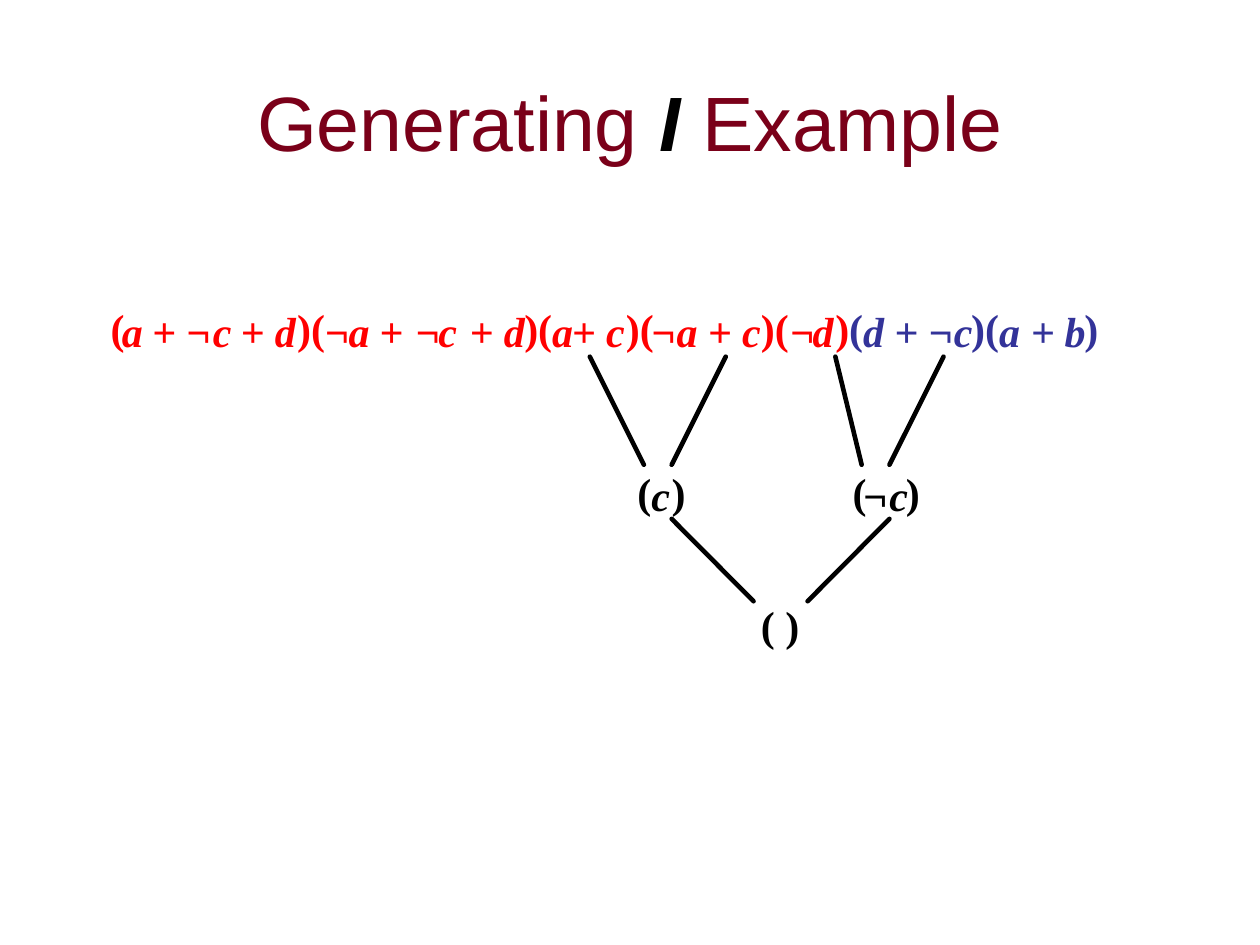
from lxml.etree import SubElement
from pptx import Presentation
from pptx.dml.color import RGBColor
from pptx.enum.shapes import MSO_CONNECTOR
from pptx.enum.text import MSO_ANCHOR, MSO_AUTO_SIZE, PP_ALIGN
from pptx.oxml.ns import qn
from pptx.util import Cm, Pt

MAROON, RED, BLUE, BLACK = "7A0019", "FF0000", "333399", "000000"

# Widths in cm that hold the bold formula characters at 24 pt
CHARACTER_WIDTHS = {"(": 0.3, ")": 0.3, "a": 0.43, "b": 0.43, "c": 0.39,
                    "d": 0.43, "+": 0.49, "¬": 0.52, " ": 0.22}
ITALIC_DROP = 0.06

# Each row: top, colour, and its symbols with their left edges
FORMULA_ROWS = [
    (6.1, RED, [
        ("(", 2.23), ("a", 2.46), ("+", 3.07), ("¬", 3.76), ("c", 4.29),
        ("+", 4.85), ("d", 5.54),
        (")(", 5.99), ("¬", 6.55), ("a", 7.03), ("+", 7.65), ("¬", 8.38),
        ("c", 8.84), ("+", 9.47), ("d", 10.16),
        (")(", 10.57), ("a", 11.13), ("+", 11.53), ("c", 12.22),
        (")(", 12.62), ("¬", 13.13), ("a", 13.64), ("+", 14.27), ("c", 14.96),
        (")(", 15.34), ("¬", 15.93), ("d", 16.38), (")", 16.84)]),
    (6.1, BLUE, [
        ("(", 17.12), ("d", 17.4), ("+", 18.03), ("¬c", 18.72),
        (")(", 19.58), ("a", 20.14), ("+", 20.78), ("b", 21.46), (")", 21.86)]),
    (9.4, BLACK, [
        ("(", 12.85), ("c", 13.13), (")", 13.54),
        ("(", 17.19), ("¬", 17.4), ("c", 17.93), (")", 18.26)]),
    (12.09, BLACK, [("( )", 15.34)]),
]

# Each level of resolution: top, bottom, and pairs of x positions
RESOLUTION_LEVELS = [
    (7.19, 9.37, [(11.89, 12.98), (14.63, 13.54), (16.84, 17.37), (19.02, 17.93)]),
    (10.46, 12.12, [(13.54, 15.19), (17.93, 16.28)]),
]


def colour(hex_string):
    return RGBColor.from_string(hex_string)


class SlideBuilder:
    title_font, title_size = "Arial", Pt(44)
    formula_font, formula_size = "Times New Roman", Pt(24)
    line_width = Pt(2.64)

    def __init__(self, slide):
        self.slide = slide

    def title(self, before, symbol, after):
        """Add the centred title with its symbol in black bold italics."""
        shape = self.slide.shapes.add_textbox(Cm(1.9), Cm(0.84), Cm(21.59), Cm(3.18))
        frame = shape.text_frame
        frame.word_wrap = True
        frame.vertical_anchor = MSO_ANCHOR.MIDDLE
        paragraph = frame.paragraphs[0]
        paragraph.alignment = PP_ALIGN.CENTER
        paragraph.font.name = self.title_font
        paragraph.font.size = self.title_size
        for text, is_symbol in ((before, False), (symbol, True), (after, False)):
            run = paragraph.add_run()
            run.text = text
            run.font.bold = run.font.italic = is_symbol
            run.font.color.rgb = colour(BLACK if is_symbol else MAROON)

    def symbol(self, text, left, row_top, hex_string):
        """Add one formula symbol: brackets upright, all else italic."""
        italic = text[0] not in "()"
        top = row_top + ITALIC_DROP * italic
        width = sum(CHARACTER_WIDTHS[character] for character in text)
        shape = self.slide.shapes.add_textbox(Cm(left), Cm(top), Cm(width), Cm(1.02))
        frame = shape.text_frame
        frame.margin_left = frame.margin_right = 0
        frame.margin_top = frame.margin_bottom = 0
        frame.word_wrap = False
        frame.auto_size = MSO_AUTO_SIZE.SHAPE_TO_FIT_TEXT
        paragraph = frame.paragraphs[0]
        paragraph.text = text
        font = paragraph.font
        font.name, font.size = self.formula_font, self.formula_size
        font.bold, font.italic = True, italic
        font.color.rgb = colour(hex_string)

    def line(self, start_x, start_y, end_x, end_y):
        connector = self.slide.shapes.add_connector(
            MSO_CONNECTOR.STRAIGHT, Cm(start_x), Cm(start_y), Cm(end_x), Cm(end_y))
        connector.line.color.rgb = colour(BLACK)
        connector.line.width = self.line_width
        properties = connector._element.spPr
        properties.find(qn("a:ln")).set("cap", "rnd")
        SubElement(properties, qn("a:effectLst"))


def main():
    presentation = Presentation()
    presentation.slide_width, presentation.slide_height = Cm(25.4), Cm(19.05)
    builder = SlideBuilder(presentation.slides.add_slide(presentation.slide_layouts[6]))
    builder.title("Generating ", "I", " Example")
    for top, hex_string, symbols in FORMULA_ROWS:
        for text, left in symbols:
            builder.symbol(text, left, top, hex_string)
    for top, bottom, branches in RESOLUTION_LEVELS:
        for start_x, end_x in branches:
            builder.line(start_x, top, end_x, bottom)
    presentation.save("out.pptx")


if __name__ == "__main__":
    main()
